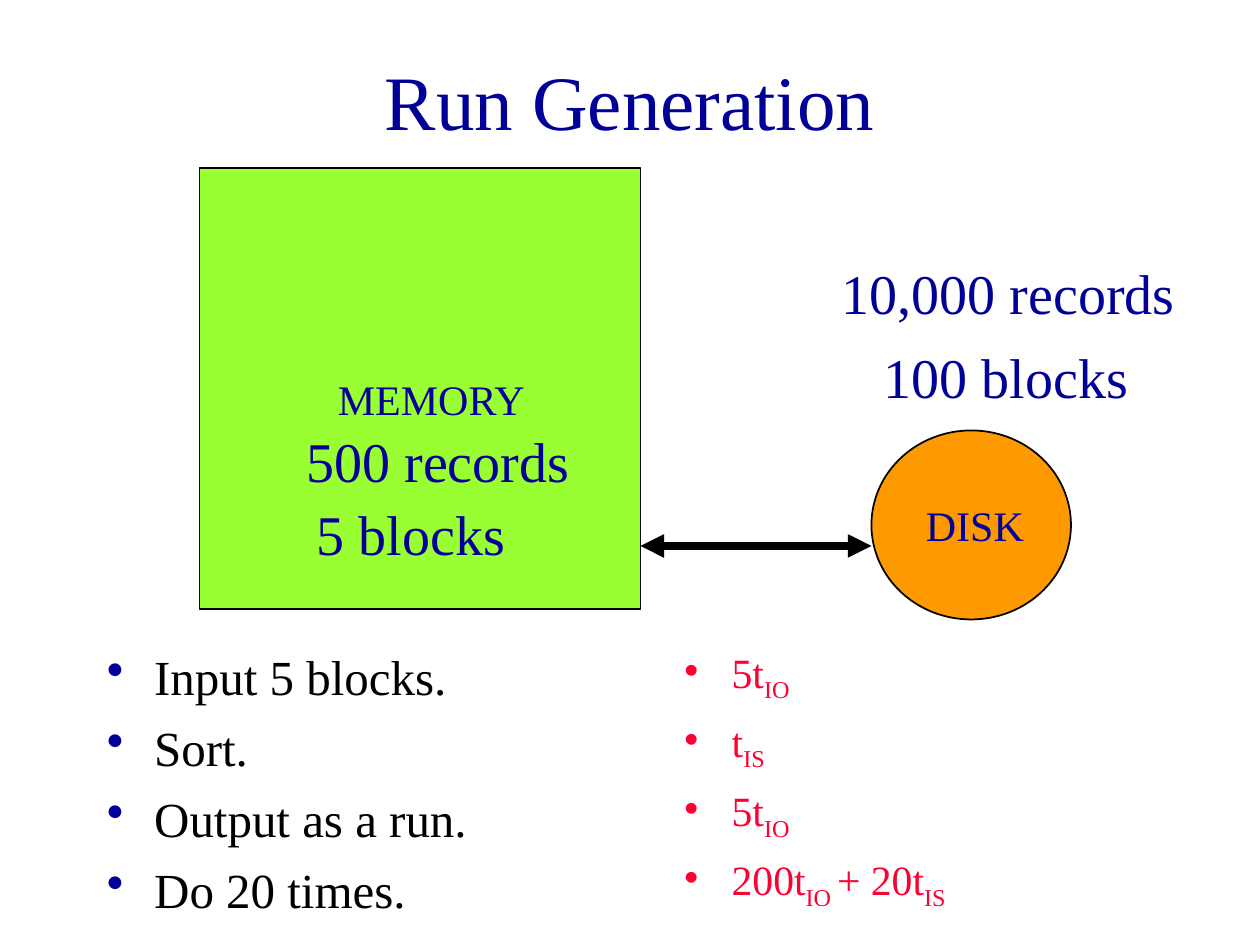
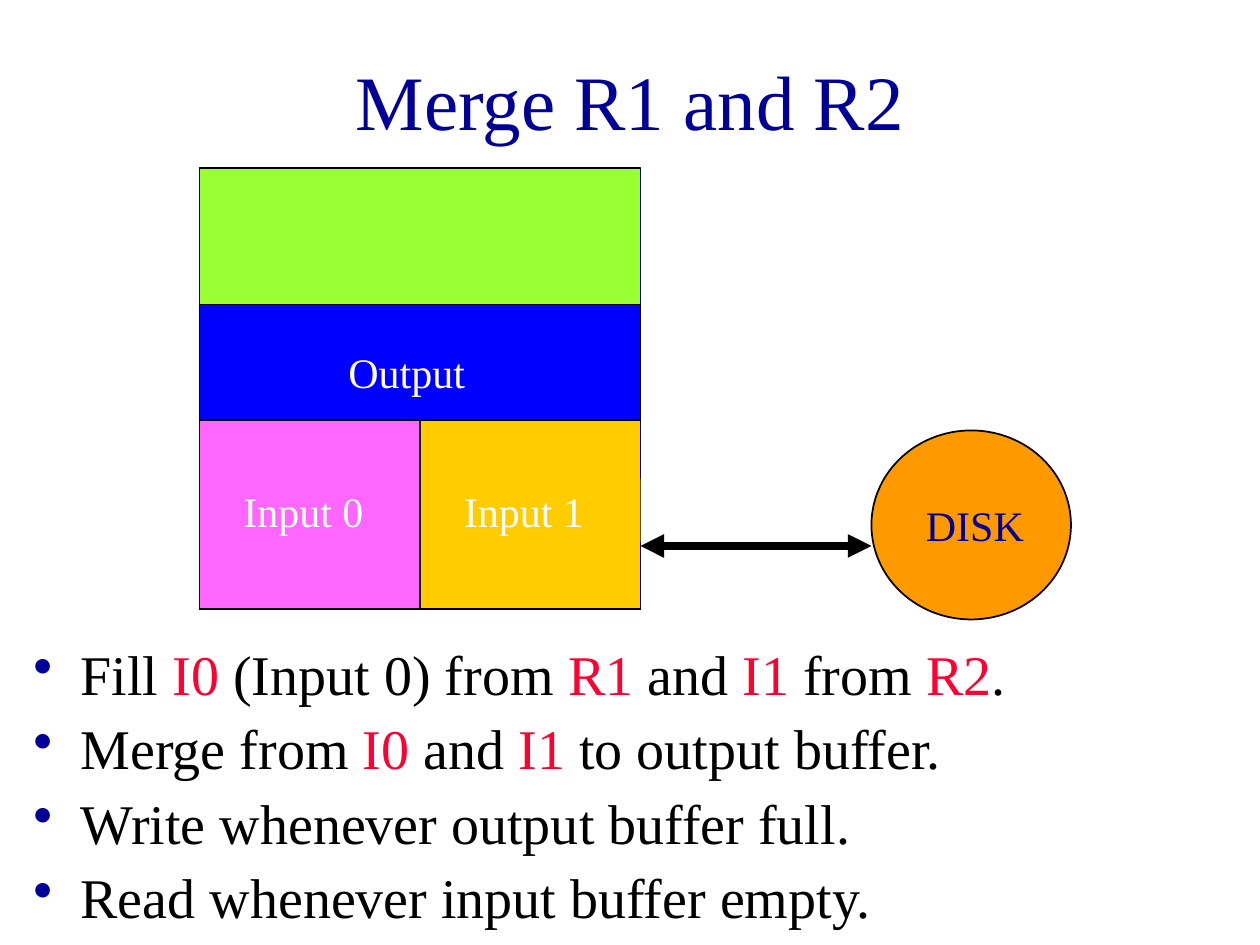
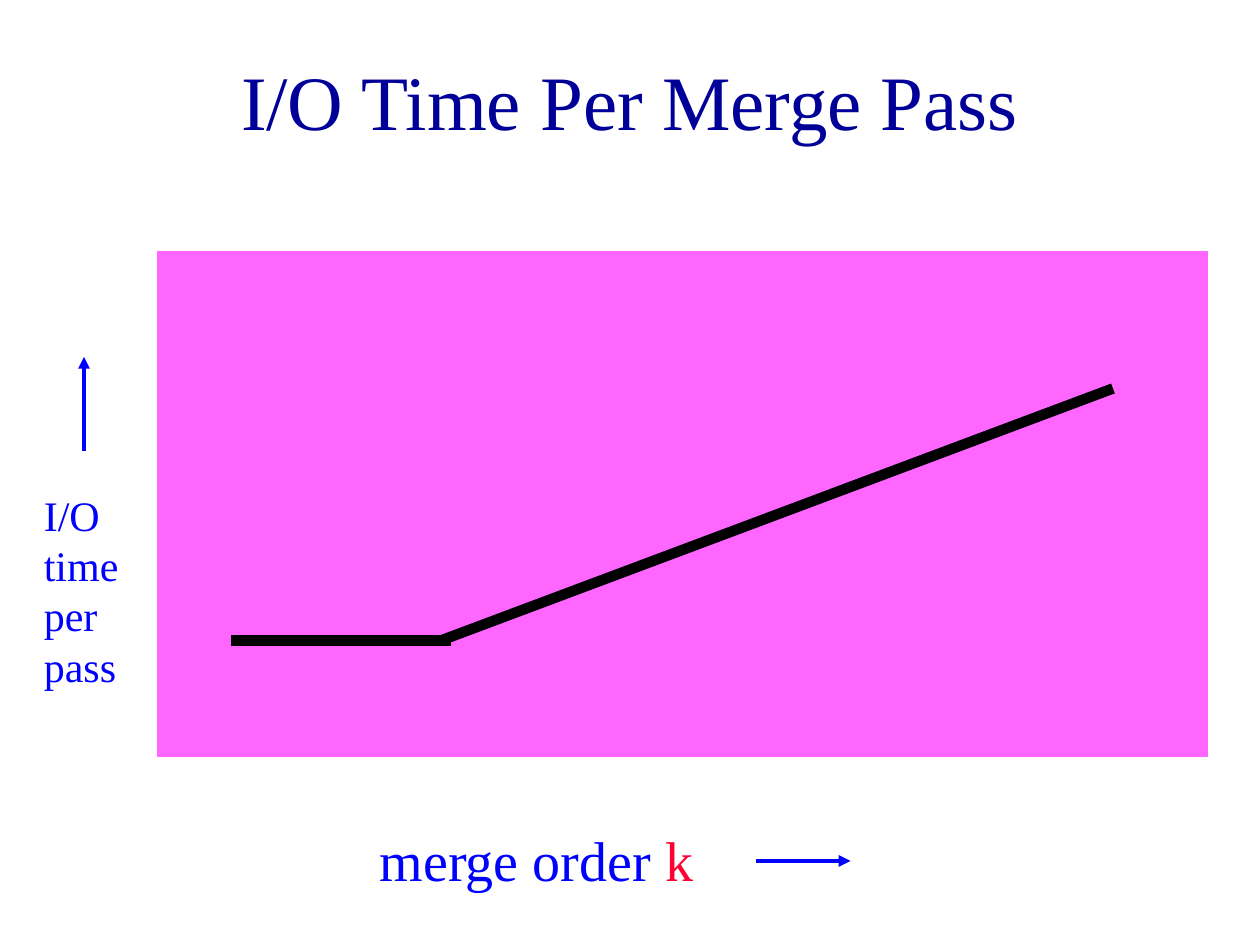
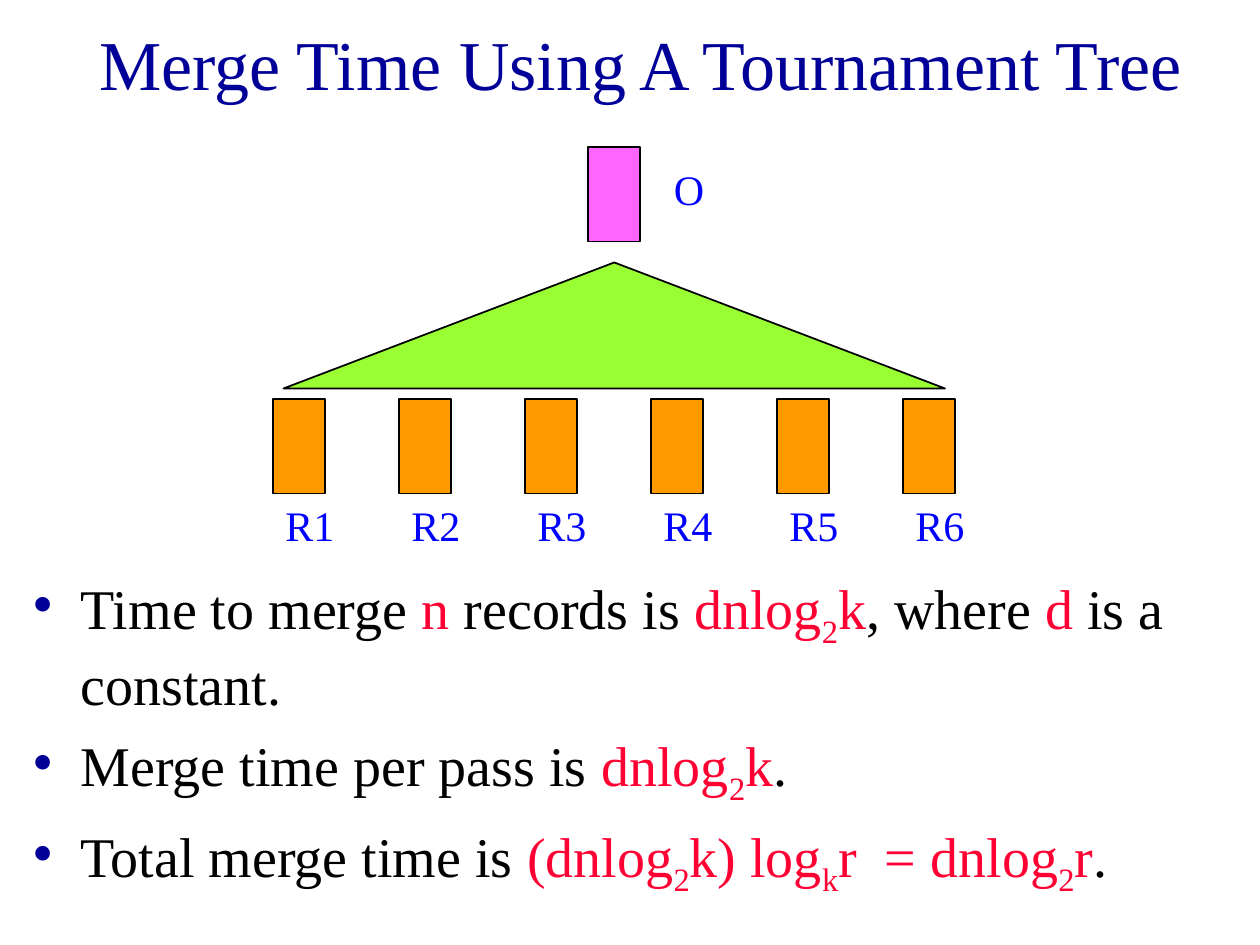
from lxml import etree
from pptx import Presentation
from pptx.dml.color import RGBColor
from pptx.enum.shapes import MSO_CONNECTOR, MSO_SHAPE
from pptx.enum.text import MSO_ANCHOR, MSO_AUTO_SIZE, PP_ALIGN
from pptx.oxml.ns import qn
from pptx.util import Pt

RECT, OVAL, WEDGE = MSO_SHAPE.RECTANGLE, MSO_SHAPE.OVAL, MSO_SHAPE.ISOSCELES_TRIANGLE
LINE = MSO_CONNECTOR.STRAIGHT
MIDDLE, CENTER = MSO_ANCHOR.MIDDLE, PP_ALIGN.CENTER
GROW = MSO_AUTO_SIZE.SHAPE_TO_FIT_TEXT

PX = 9525  # EMU in one px, 96 px to the inch
FONT = "Times New Roman"
HEX = {
    "black": "000000", "white": "FFFFFF", "navy": "000099", "blue": "0000FF",
    "red": "FF0033", "green": "99FF33", "orange": "FF9900", "pink": "FF66FF",
    "gold": "FFCC00",
}


def rgb(color):
    return RGBColor.from_string(HEX[color])


class Deck:
    def __init__(self):
        self.prs = Presentation()
        self.prs.slide_width, self.prs.slide_height = 960 * PX, 720 * PX
        self.slide = None

    def page(self, title, box=(72, 16, 816, 120), size=44):
        """Start a slide with its centred title."""
        self.slide = self.prs.slides.add_slide(self.prs.slide_layouts[6])
        frame = self.area(box).text_frame
        frame.vertical_anchor = MIDDLE
        para = frame.paragraphs[0]
        para.alignment = CENTER
        self.put(para, title, size, "navy")

    def area(self, box):
        area = self.slide.shapes.add_textbox(*(n * PX for n in box))
        area.text_frame.word_wrap = True
        return area

    def put(self, para, text, size, color):
        """Fill a paragraph; *...* turns red and _..._ is a subscript."""
        tint, low, word = color, False, ""
        for char in text + "*":  # the last mark closes the last run
            if char not in "*_":
                word += char
                continue
            if word:
                run = para.add_run()
                run.text = word
                run.font.color.rgb = rgb(tint)
                if low:
                    run.font._element.set("baseline", "-25000")
                word = ""
            if char == "*":
                tint = color if tint == "red" else "red"
            else:
                low = not low
        for part in (para, *para.runs):
            part.font.name, part.font.size = FONT, Pt(size)

    def label(self, text, box, size=24, color="navy", fill=None):
        area = self.area(box)
        area.text_frame.auto_size = GROW
        if fill:
            area.fill.solid()
            area.fill.fore_color.rgb = rgb(fill)
        para = area.text_frame.paragraphs[0]
        para.space_before = Pt(size * 5 / 8)
        self.put(para, text, size, color)

    def bullets(self, items, box, size=32, color="black", dot="navy", gap=8, pitch=None):
        frame = self.area(box).text_frame
        for i, item in enumerate(items):
            para = frame.add_paragraph() if i else frame.paragraphs[0]
            props = para._p.get_or_add_pPr()
            props.set("marL", str(36 * PX))
            props.set("indent", str(-36 * PX))
            tint = etree.SubElement(props, qn("a:buClr"))
            etree.SubElement(tint, qn("a:srgbClr")).set("val", HEX[dot])
            etree.SubElement(props, qn("a:buChar")).set("char", "•")
            para.space_before = Pt(gap)
            if pitch:
                para.line_spacing = pitch
            self.put(para, item, size, color)

    def block(self, kind, box, fill, edge="black"):
        shape = self.slide.shapes.add_shape(kind, *(n * PX for n in box))
        shape.shadow.inherit = False
        shape.fill.solid()
        shape.fill.fore_color.rgb = rgb(fill)
        shape.line.color.rgb = rgb(edge)
        shape.line.width = Pt(1)

    def line(self, start, end, width, color="black", tips=()):
        link = self.slide.shapes.add_connector(LINE, *(n * PX for n in (*start, *end)))
        link.line.color.rgb = rgb(color)
        link.line.width = Pt(width)
        for tip in tips:
            etree.SubElement(link.line._ln, qn(f"a:{tip}")).set("type", "triangle")
        etree.SubElement(link._element.spPr, qn("a:effectLst"))

    def store(self):
        """Memory square joined to the disk."""
        self.block(RECT, (152, 128, 336, 336), "green")
        self.block(OVAL, (664, 328, 152, 144), "orange")
        self.label("DISK", (696, 376, 128, 48))
        self.line((488, 416), (664, 416), 4.5, tips=("headEnd", "tailEnd"))


def runs(deck):
    deck.page("Run Generation")
    deck.bullets(["Input 5 blocks.", "Sort.", "Output as a run.", "Do 20 times."],
                 (72, 488, 400, 232), size=28, gap=7)
    deck.bullets(["5t_IO_", "t_IS_", "5t_IO_", "200t_IO _+ 20t_IS_"],
                 (512, 488, 400, 216), size=23.8, color="red", dot="red", gap=7)
    deck.store()
    deck.label("MEMORY", (248, 280, 168, 48))
    for text, x, y, w in [("500 records", 224, 320, 240), ("10,000 records", 632, 192, 328),
                          ("5 blocks", 232, 376, 184), ("100 blocks", 664, 256, 224)]:
        deck.label(text, (x, y, w, 62), size=32)


def merge(deck):
    deck.page("Merge R1 and R2")
    deck.bullets(["Fill *I0* (Input 0) from *R1* and *I1* from *R2*.",
                  "Merge from *I0 *and *I1* to output buffer.",
                  "Write whenever output buffer full.",
                  "Read whenever input buffer empty."],
                 (16, 488, 856, 232), pitch=0.9)
    deck.store()
    # Buffers inside memory
    for i, (fill, back) in enumerate([("pink", None), ("gold", "gold")]):
        x = 152 + 168 * i
        deck.block(RECT, (x, 320, 168, 144), fill)
        deck.label(f"Input {i}", (x + 24, 365, 144, 48), color="white", fill=back)
    deck.block(RECT, (152, 232, 336, 88), "blue")
    deck.label("Output", (256, 259, 144, 48), color="white")


def cost(deck):
    deck.page("I/O Time Per Merge Pass")
    # Plot area and curve
    deck.block(RECT, (120, 192, 800, 384), "pink", edge="pink")
    deck.line((336, 488), (848, 296), 6)
    deck.line((176, 488), (344, 488), 6)
    # Axis names with arrows
    deck.label("merge order *k*", (280, 624, 280, 62), size=32, color="blue")
    deck.line((576, 656), (648, 656), 2.25, "blue", ["tailEnd"])
    deck.label("I/O time per pass", (24, 368, 88, 163), color="blue")
    deck.line((64, 344), (64, 272), 2.25, "blue", ["tailEnd"])


def tree(deck):
    deck.page("Merge Time Using A Tournament Tree", (16, 0, 944, 96), size=40)
    deck.bullets(["Time to merge *n* records is *dnlog_2_k*, where *d* is a constant.",
                  "Merge time per pass is *dnlog_2_k*.",
                  "Total merge time is *(dnlog_2_k) log_k_r  = dnlog_2_r*."],
                 (16, 432, 944, 264))
    # Runs at the leaves
    for i in range(6):
        x = 208 + 96 * i
        deck.block(RECT, (x, 304, 40, 72), "orange")
        deck.label(f"R{i + 1}", (x, 376, 72, 48), color="blue")
    # Output at the root
    deck.block(RECT, (448, 112, 40, 72), "pink")
    deck.label("O", (504, 120, 72, 48), color="blue")
    deck.block(WEDGE, (216, 200, 504, 96), "green")


def main():
    deck = Deck()
    for draw in (runs, merge, cost, tree):
        draw(deck)
    deck.prs.save("out.pptx")


if __name__ == "__main__":
    main()
